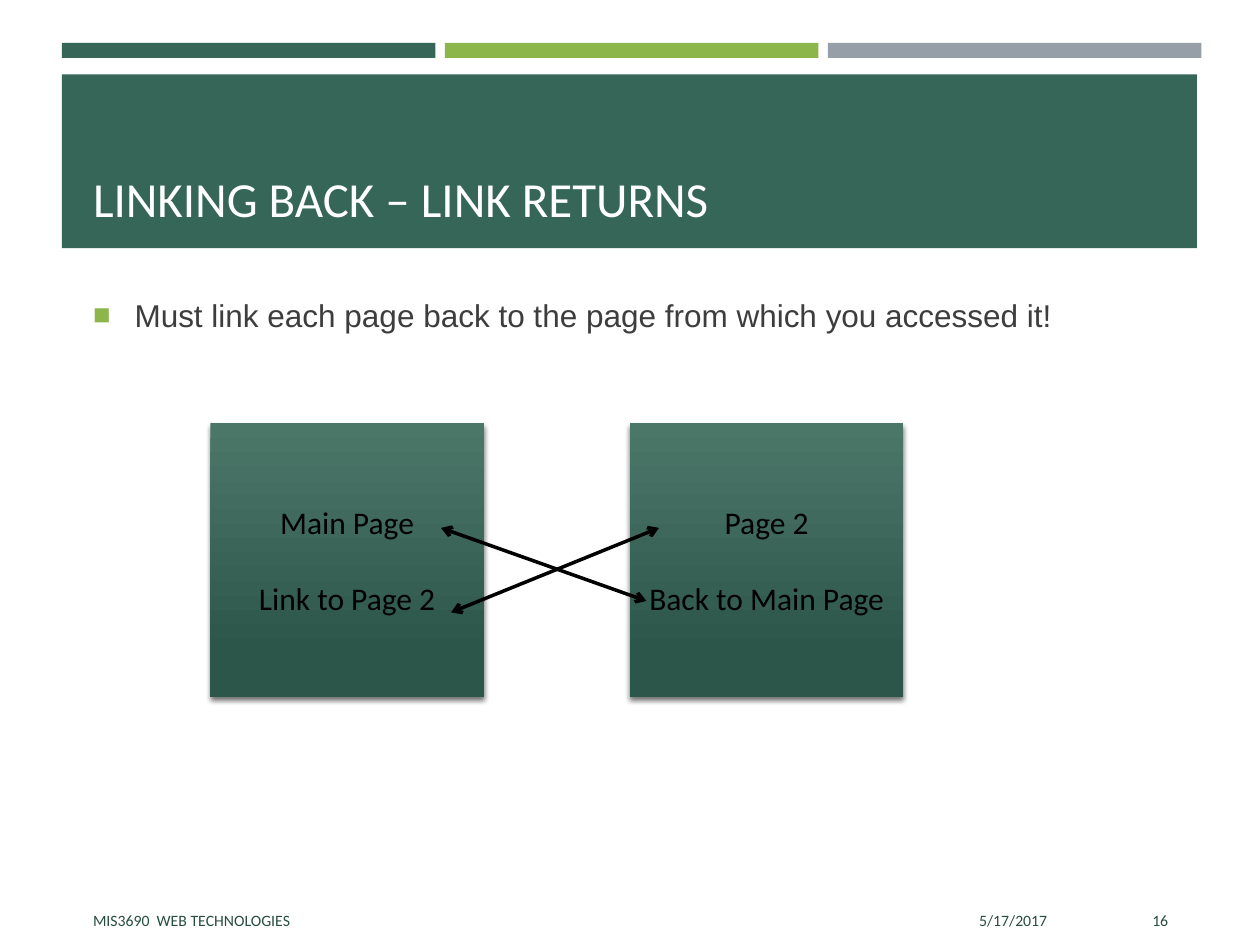
import pptx
import pptx.util
import pptx.dml.color
import pptx.enum.shapes
import pptx.enum.text
import pptx.oxml
import pptx.oxml.ns

RECT = pptx.enum.shapes.MSO_SHAPE.RECTANGLE
ANCHOR = pptx.enum.text.MSO_ANCHOR
ALIGN = pptx.enum.text.PP_ALIGN
NS = pptx.oxml.ns.nsdecls("a")
GREEN, LIME, GRAY = "366658", "8CB64A", "969FA7"

prs = pptx.Presentation()
prs.slide_width = pptx.util.Inches(10)
prs.slide_height = pptx.util.Inches(7.5)
s = prs.slides.add_slide(prs.slide_layouts[6])

# Grid: 100 columns by 75 rows
COL = prs.slide_width // 100
ROW = prs.slide_height // 75


def rgb(value):
    return pptx.dml.color.RGBColor.from_string(value)


def write(sp, lines, size, color, font="Calibri", align=ALIGN.LEFT,
          anchor=ANCHOR.MIDDLE, gap=0):
    tf = sp.text_frame
    tf.word_wrap = True
    tf.vertical_anchor = anchor
    for i, line in enumerate(lines):
        p = tf.add_paragraph() if i else tf.paragraphs[0]
        p.alignment = align
        p.space_before = pptx.util.Pt(gap if i else 0)
        r = p.add_run()
        r.text = line
        r.font.size = pptx.util.Pt(size)
        r.font.name = font
        r.font.color.rgb = rgb(color)
    return tf.paragraphs[0]


# Three accent bars on an even pitch, then the title band
bars = [(4.9 + 30.4 * i, 3.4, 29.65, 1.2, color)
        for i, color in enumerate([GREEN, LIME, GRAY])]
for x, y, w, h, color in bars + [(4.9, 5.9, 90.1, 13.8, GREEN)]:
    sp = s.shapes.add_shape(RECT, int(x * COL), int(y * ROW), int(w * COL), int(h * ROW))
    sp.shadow.inherit = False
    sp.fill.solid()
    sp.fill.fore_color.rgb = rgb(color)
    sp.line.fill.background()

# Title
sp = s.shapes.add_textbox(int(6.4 * COL), int(6.7 * ROW), int(87.4 * COL), int(11.8 * ROW))
write(sp, ["LINKING BACK – LINK RETURNS"], 28, "FFFFFF", anchor=ANCHOR.BOTTOM)

# Body bullet
sp = s.shapes.add_textbox(int(6.4 * COL), 23 * ROW, int(87.4 * COL), int(46.2 * ROW))
p = write(sp, ["Must link each page back to the page from which you accessed it!"],
          18, "3D3D3D", font="Arial", anchor=ANCHOR.TOP)
p.space_before = pptx.util.Pt(2)
p.space_after = pptx.util.Pt(6)
pPr = p._p.get_or_add_pPr()
pPr.set("marL", str(int(3.3 * COL)))
pPr.set("indent", str(int(-3.3 * COL)))
for xml in (f'<a:buClr {NS}><a:srgbClr val="{LIME}"/></a:buClr>',
            f'<a:buSzPct {NS} val="92000"/>',
            f'<a:buFont {NS} typeface="Arial"/>',
            f'<a:buChar {NS} char="■"/>'):
    pPr.append(pptx.oxml.parse_xml(xml))

# Footer: course, date, slide number
for x, w, line, align in [(6.4, 53.3, "MIS3690  WEB TECHNOLOGIES", ALIGN.LEFT),
                          (60.8, 23.3, "5/17/2017", ALIGN.RIGHT),
                          (85.3, 8.4, "16", ALIGN.RIGHT)]:
    sp = s.shapes.add_textbox(int(x * COL), 71 * ROW, int(w * COL), 4 * ROW)
    write(sp, [line], 9, "284D42", align=align)

# Page boxes with gradient and soft shadow
for x, lines in [(16.7, ["Main Page", "Link to Page 2"]),
                 (50, ["Page 2", "Back to Main Page"])]:
    sp = s.shapes.add_shape(RECT, int(x * COL), int(33.6 * ROW),
                            int(21.7 * COL), int(21.7 * ROW))
    sp.fill.gradient()
    sp.fill.gradient_angle = 270
    for stop, (pos, color) in zip(sp.fill.gradient_stops, [(0, "4B7769"), (0.84, "2D564A")]):
        stop.position = pos
        stop.color.rgb = rgb(color)
    sp.line.fill.background()
    sp.shadow.inherit = False
    sp._element.spPr.find(pptx.oxml.ns.qn("a:effectLst")).append(pptx.oxml.parse_xml(
        f'<a:outerShdw {NS} blurRad="{pptx.util.Pt(3)}" dist="{pptx.util.Pt(2)}" '
        'dir="5400000" rotWithShape="0"><a:srgbClr val="000000">'
        '<a:alpha val="55000"/></a:srgbClr></a:outerShdw>'))
    write(sp, lines, 18, "000000", align=ALIGN.CENTER, gap=22)

# Crossing two-way arrows
for x1, y1, x2, y2 in [(35.8, 48.6, 52.3, 41.9), (35, 41.9, 51.3, 47.7)]:
    sp = s.shapes.add_connector(pptx.enum.shapes.MSO_CONNECTOR.STRAIGHT,
                                int(x1 * COL), int(y1 * ROW), int(x2 * COL), int(y2 * ROW))
    sp.line.color.rgb = rgb("000000")
    sp.line.width = pptx.util.Pt(2)
    for end in ("headEnd", "tailEnd"):
        sp.line._get_or_add_ln().append(pptx.oxml.parse_xml(f'<a:{end} {NS} type="arrow"/>'))
    sp._element.spPr.append(pptx.oxml.parse_xml(f'<a:effectLst {NS}/>'))

prs.save("out.pptx")
